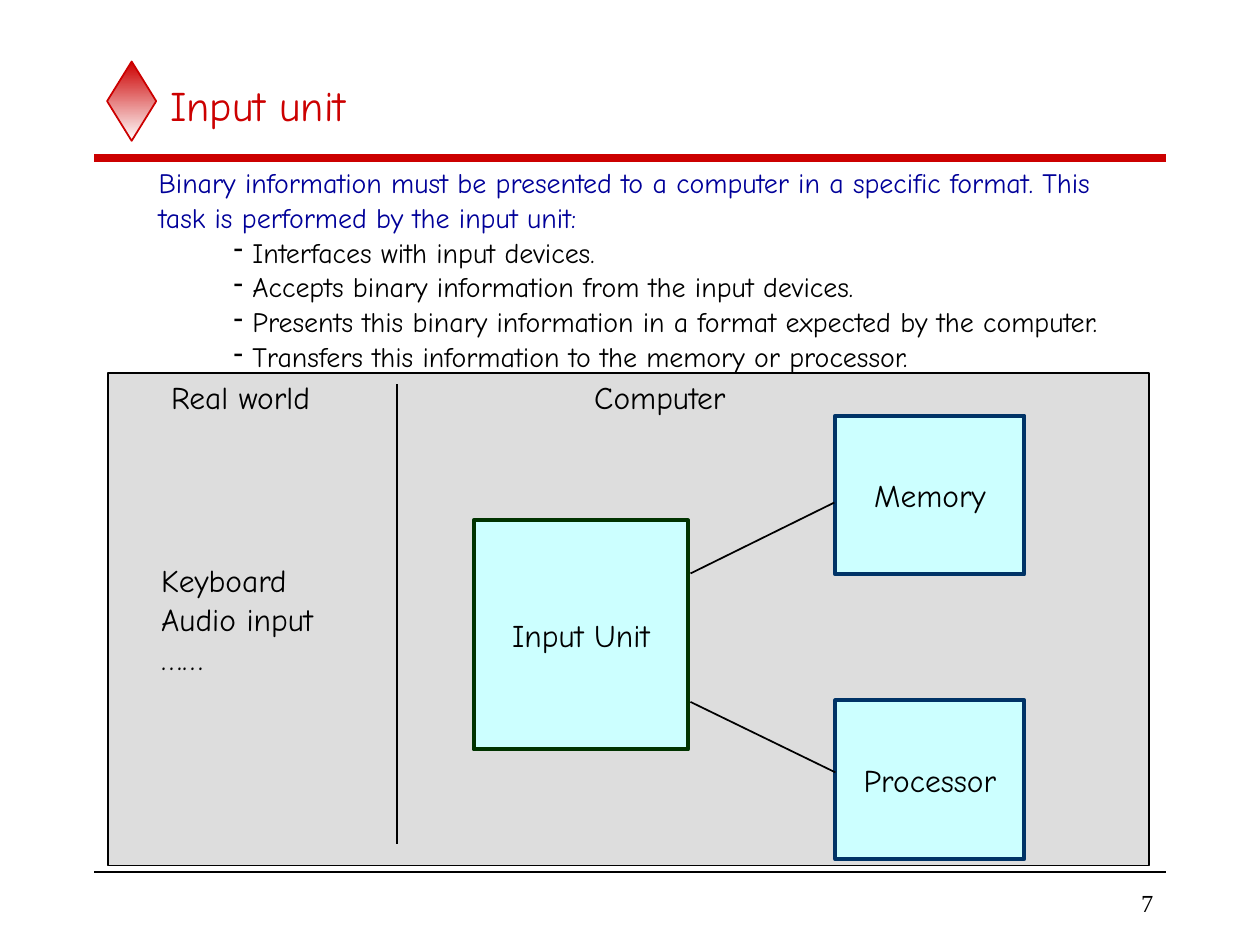
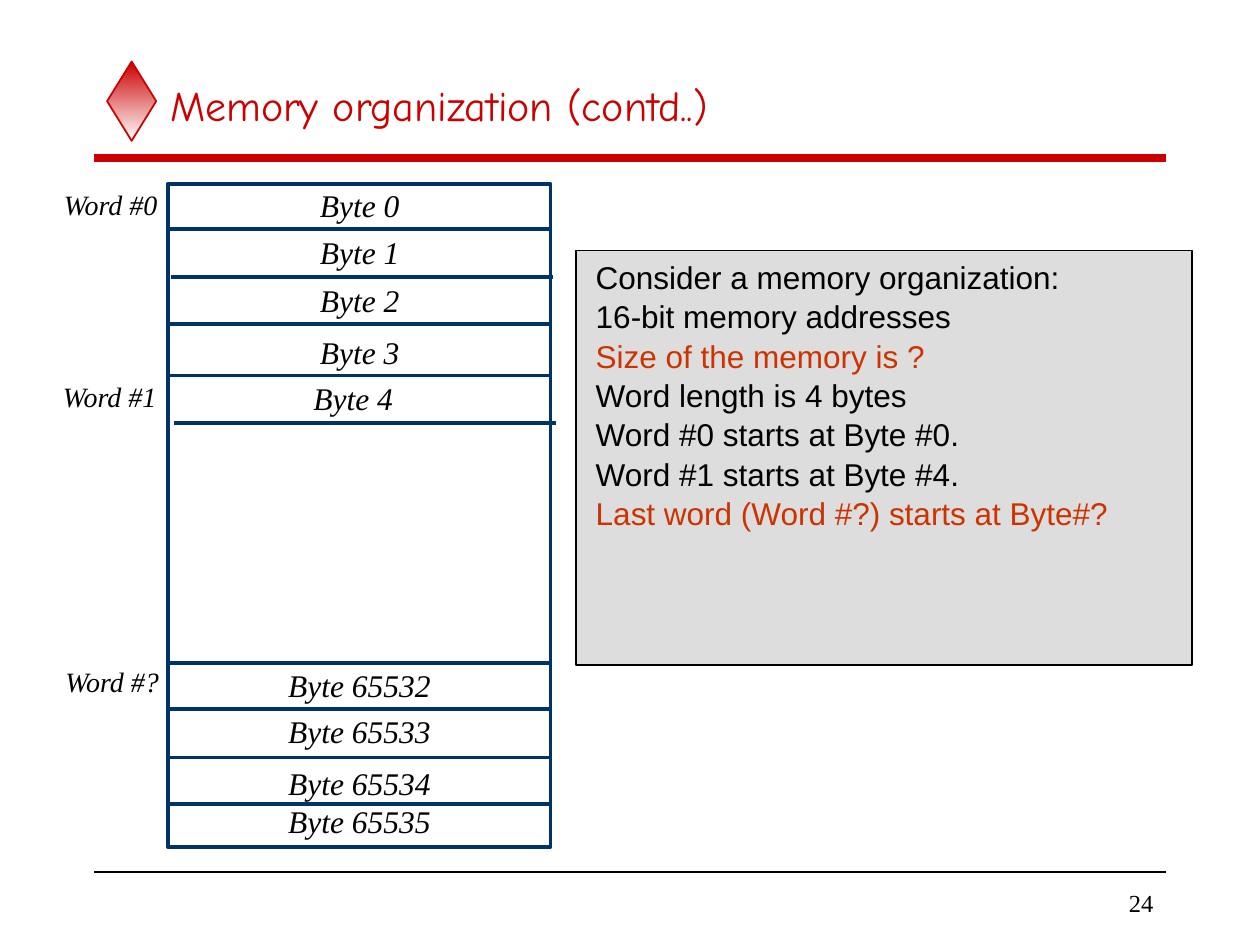
"""Builds two lecture slides on computer input and memory organization."""

from dataclasses import dataclass

import lxml.etree
import pptx
import pptx.dml.color
import pptx.enum.shapes
import pptx.enum.text
import pptx.oxml.ns
import pptx.presentation
import pptx.shapes.autoshape
import pptx.slide
import pptx.text.text
import pptx.util

Cm = pptx.util.Cm
Pt = pptx.util.Pt
RGBColor = pptx.dml.color.RGBColor
Align = pptx.enum.text.PP_ALIGN
Anchor = pptx.enum.text.MSO_ANCHOR
Preset = pptx.enum.shapes.MSO_SHAPE

RED = RGBColor(0xCC, 0x00, 0x00)
ORANGE = RGBColor(0xCC, 0x33, 0x00)
BLUE = RGBColor(0x00, 0x00, 0x99)
NAVY = RGBColor(0x00, 0x33, 0x66)
DARK_GREEN = RGBColor(0x00, 0x33, 0x00)
PALE_CYAN = RGBColor(0xCC, 0xFF, 0xFF)
GREY = RGBColor(0xDD, 0xDD, 0xDD)
BLACK = RGBColor(0x00, 0x00, 0x00)
WHITE = RGBColor(0xFF, 0xFF, 0xFF)

COMIC = "Comic Neue"
TIMES = "Times New Roman"
ARIAL = "Arial"


@dataclass(frozen=True)
class Area:
    """A rectangle on the slide, in centimetres."""

    left: float
    top: float
    width: float
    height: float

    def lengths(self) -> tuple[Cm, Cm, Cm, Cm]:
        """Return the sides as slide lengths."""
        return Cm(self.left), Cm(self.top), Cm(self.width), Cm(self.height)


@dataclass(frozen=True)
class Style:
    """The look and placing of a block of text."""

    font: str
    size: int
    color: RGBColor = BLACK
    italic: bool = False
    align: Align = Align.LEFT
    anchor: Anchor = Anchor.TOP
    wrap: bool = False


@dataclass(frozen=True)
class Entry:
    """One paragraph, optionally coloured or dashed."""

    text: str
    color: RGBColor | None = None
    dashed: bool = False


@dataclass(frozen=True)
class Box:
    """A filled rectangle with an optional caption."""

    area: Area
    fill: RGBColor
    outline: RGBColor
    weight: float
    caption: str = ""


@dataclass(frozen=True)
class ByteRow:
    """A byte label in the memory column with its dividing rule."""

    number: int
    label_top: float
    rule: float
    shift: float = 0
    label_left: float = 6.2
    label_width: float = 2.11


@dataclass(frozen=True)
class WordLabel:
    """A word label beside the memory column."""

    text: str
    left: float
    top: float


TITLE = Style(COMIC, 24, RED, anchor=Anchor.MIDDLE, wrap=True)
PAGE = Style(TIMES, 14, align=Align.RIGHT, anchor=Anchor.MIDDLE, wrap=True)
CAPTION = Style(COMIC, 18, align=Align.CENTER, anchor=Anchor.MIDDLE)
HEADING = Style(COMIC, 18)
INTRO = Style(COMIC, 16, wrap=True)
BYTE = Style(TIMES, 18, italic=True)
WORD = Style(TIMES, 16, italic=True)
NOTES = Style(ARIAL, 18)

INTRO_LINES = [
    Entry("Binary information must be presented to a computer in a specific format. This", BLUE),
    Entry("task is performed by the input unit:", BLUE),
    Entry("Interfaces with input devices.", dashed=True),
    Entry("Accepts binary information from the input devices.", dashed=True),
    Entry("Presents this binary information in a format expected by the computer.", dashed=True),
    Entry("Transfers this information to the memory or processor.", dashed=True),
]
DEVICES = [Entry("Keyboard"), Entry("Audio input"), Entry("……")]
UNITS = [
    Box(Area(2.18, 7.52, 20.98, 9.93), GREY, BLACK, 1),
    Box(Area(9.55, 10.49, 4.32, 4.62), PALE_CYAN, DARK_GREEN, 2.25, "Input Unit"),
    Box(Area(16.84, 14.12, 3.81, 3.2), PALE_CYAN, NAVY, 2.25, "Processor"),
    Box(Area(16.84, 8.38, 3.81, 3.2), PALE_CYAN, NAVY, 2.25, "Memory"),
]
LINKS = [
    ((13.92, 11.56), (16.82, 10.13)),
    ((13.92, 14.15), (16.84, 15.57)),
    ((8, 7.75), (8, 17.02)),
]

BYTE_ROWS = [
    ByteRow(0, 3.63, 4.62),
    ByteRow(1, 4.57, 5.59, 0.04),
    ByteRow(2, 5.54, 6.53),
    ByteRow(3, 6.58, 7.57),
    ByteRow(4, 7.52, 8.53, 0.11, label_left=6.07),
    ByteRow(65532, 13.31, 13.36, 0, 5.56, 3.38),
    ByteRow(65533, 14.22, 14.3, 0, 5.56, 3.38),
    ByteRow(65534, 15.27, 15.27, 0, 5.56, 3.38),
    ByteRow(65535, 16.05, 16.21, 0, 5.56, 3.38),
]
WORD_LABELS = [
    WordLabel("Word #0", 1.04, 3.66),
    WordLabel("Word #1", 1.02, 7.52),
    WordLabel("Word #?", 1.07, 13.28),
]
MEMORY_NOTES = [
    Entry("Consider a memory organization:"),
    Entry("16-bit memory addresses"),
    Entry("Size of the memory is ?", ORANGE),
    Entry("Word length is 4 bytes"),
    Entry("Word #0 starts at Byte #0."),
    Entry("Word #1 starts at Byte #4."),
    Entry("Last word (Word #?) starts at Byte#?", ORANGE),
]


def add_dash(paragraph: pptx.text.text._Paragraph) -> None:
    """Give the paragraph a hanging dash."""
    properties = paragraph._p.get_or_add_pPr()
    properties.set("marL", str(Cm(1.89)))
    properties.set("indent", str(Cm(-0.38)))
    dash = lxml.etree.SubElement(properties, pptx.oxml.ns.qn("a:buChar"))
    dash.set("char", "-")


def write(frame: pptx.text.text.TextFrame, entries: list[Entry], style: Style) -> None:
    """Fill a text frame with styled paragraphs."""
    frame.text = "\n".join(entry.text for entry in entries)
    frame.word_wrap = style.wrap
    frame.vertical_anchor = style.anchor
    for paragraph, entry in zip(frame.paragraphs, entries):
        paragraph.alignment = style.align
        if len(entries) > 1:
            paragraph.line_spacing = 1.04
        if entry.dashed:
            add_dash(paragraph)
        for run in paragraph.runs:
            run.font.name = style.font
            run.font.size = Pt(style.size)
            run.font.italic = style.italic
            run.font.color.rgb = entry.color or style.color


def add_text(slide: pptx.slide.Slide, area: Area, entries: list[Entry], style: Style) -> None:
    """Place a text box."""
    write(slide.shapes.add_textbox(*area.lengths()).text_frame, entries, style)


def add_line(
    slide: pptx.slide.Slide,
    start: tuple[float, float],
    end: tuple[float, float],
    color: RGBColor = BLACK,
    weight: float = 1,
) -> None:
    """Draw a straight line without shadow."""
    line = slide.shapes.add_connector(
        pptx.enum.shapes.MSO_CONNECTOR.STRAIGHT, *(Cm(value) for value in start + end)
    )
    line.line.color.rgb = color
    line.line.width = Pt(weight)
    lxml.etree.SubElement(line._element.spPr, pptx.oxml.ns.qn("a:effectLst"))


def add_preset(
    slide: pptx.slide.Slide, preset: Preset, area: Area, outline: RGBColor, weight: float
) -> pptx.shapes.autoshape.Shape:
    """Draw an outlined preset shape without shadow."""
    shape = slide.shapes.add_shape(preset, *area.lengths())
    shape.shadow.inherit = False
    shape.line.color.rgb = outline
    shape.line.width = Pt(weight)
    return shape


def add_box(slide: pptx.slide.Slide, box: Box) -> None:
    """Draw a filled rectangle and its caption."""
    shape = add_preset(slide, Preset.RECTANGLE, box.area, box.outline, box.weight)
    shape.fill.solid()
    shape.fill.fore_color.rgb = box.fill
    if box.caption:
        write(shape.text_frame, [Entry(box.caption)], CAPTION)


def add_slide(deck: pptx.presentation.Presentation, title: str, page: int) -> pptx.slide.Slide:
    """Add a slide with the shared title, rules, diamond and page number."""
    slide = deck.slides.add_slide(deck.slide_layouts[6])
    diamond = add_preset(slide, Preset.DIAMOND, Area(2.16, 1.24, 0.99, 1.6), RED, 1)
    diamond.fill.gradient()
    diamond.fill.gradient_angle = 270
    for stop, color, position in zip(diamond.fill.gradient_stops, (RED, WHITE), (0, 1)):
        stop.color.rgb = color
        stop.position = position
    add_line(slide, (1.9, 3.18), (23.5, 3.18), RED, 4.5)
    add_line(slide, (1.9, 17.58), (23.5, 17.58))
    add_text(slide, Area(19.89, 17.78, 3.61, 0.84), [Entry(str(page))], PAGE)
    add_text(slide, Area(3.18, 1.27, 20.32, 1.7), [Entry(title)], TITLE)
    return slide


def add_input_unit(deck: pptx.presentation.Presentation) -> None:
    """Build the input unit slide."""
    slide = add_slide(deck, "Input unit", 7)
    for unit in UNITS:
        add_box(slide, unit)
    for start, end in LINKS:
        add_line(slide, start, end)
    add_text(slide, Area(11.73, 7.49, 3.18, 1.02), [Entry("Computer")], HEADING)
    add_text(slide, Area(3.2, 7.49, 3.33, 1.02), [Entry("Real world")], HEADING)
    add_text(slide, Area(3, 11.15, 3.56, 3.3), DEVICES, HEADING)
    add_text(slide, Area(2.95, 3.18, 19.8, 4.32), INTRO_LINES, INTRO)


def add_memory_organization(deck: pptx.presentation.Presentation) -> None:
    """Build the memory organization slide."""
    slide = add_slide(deck, "Memory organization (contd..)", 24)
    add_box(slide, Box(Area(3.38, 3.71, 7.72, 13.36), WHITE, NAVY, 2.25))
    for row in BYTE_ROWS:
        left = 3.4 + row.shift
        add_line(slide, (left, row.rule), (left + 7.7, row.rule), NAVY, 2.25)
        label_area = Area(row.label_left, row.label_top, row.label_width, 1.02)
        add_text(slide, label_area, [Entry(f"Byte {row.number}")], BYTE)
    for word in WORD_LABELS:
        add_text(slide, Area(word.left, word.top, 2.46, 0.94), [Entry(word.text)], WORD)
    add_box(slide, Box(Area(11.61, 5.05, 12.42, 8.36), GREY, BLACK, 1))
    add_text(slide, Area(11.76, 5.05, 10.85, 5.59), MEMORY_NOTES, NOTES)


def main() -> None:
    """Build and save the deck."""
    deck = pptx.Presentation()
    deck.slide_width, deck.slide_height = Cm(25.4), Cm(19.05)
    add_input_unit(deck)
    add_memory_organization(deck)
    deck.save("out.pptx")


if __name__ == "__main__":
    main()
